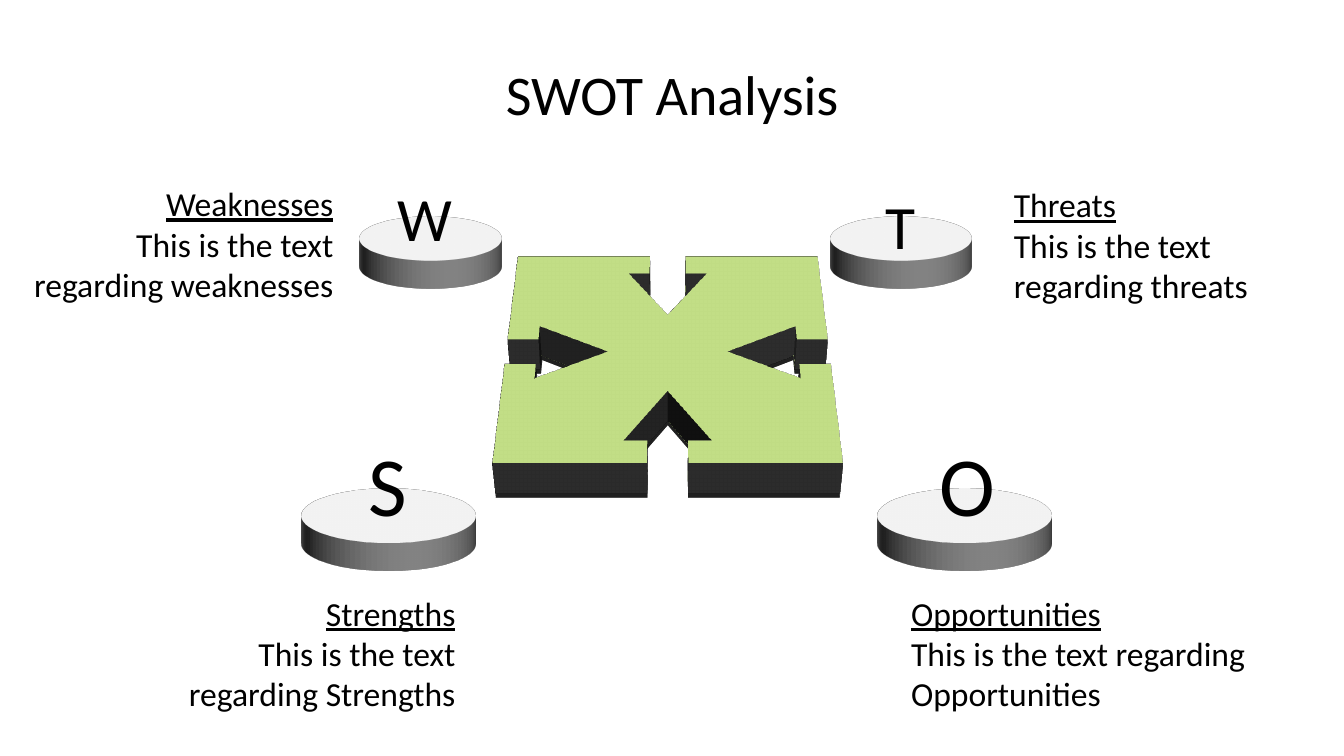
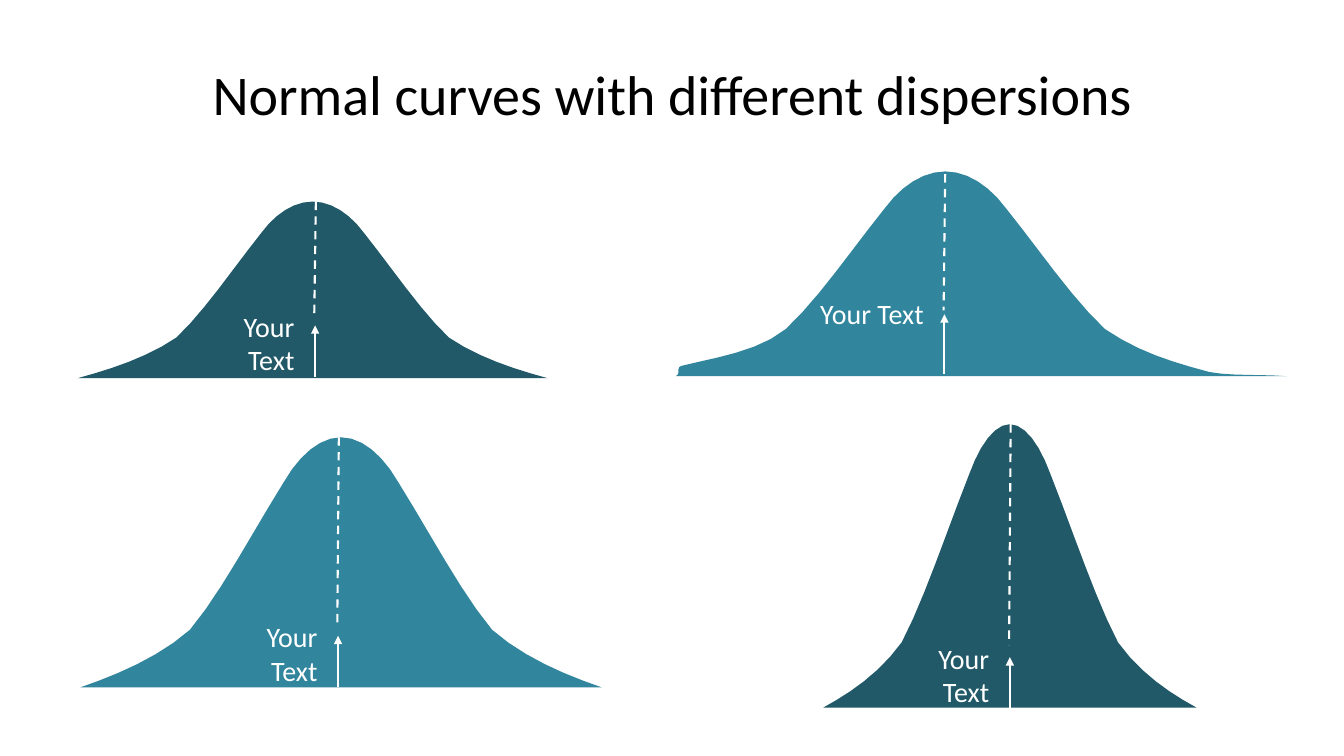
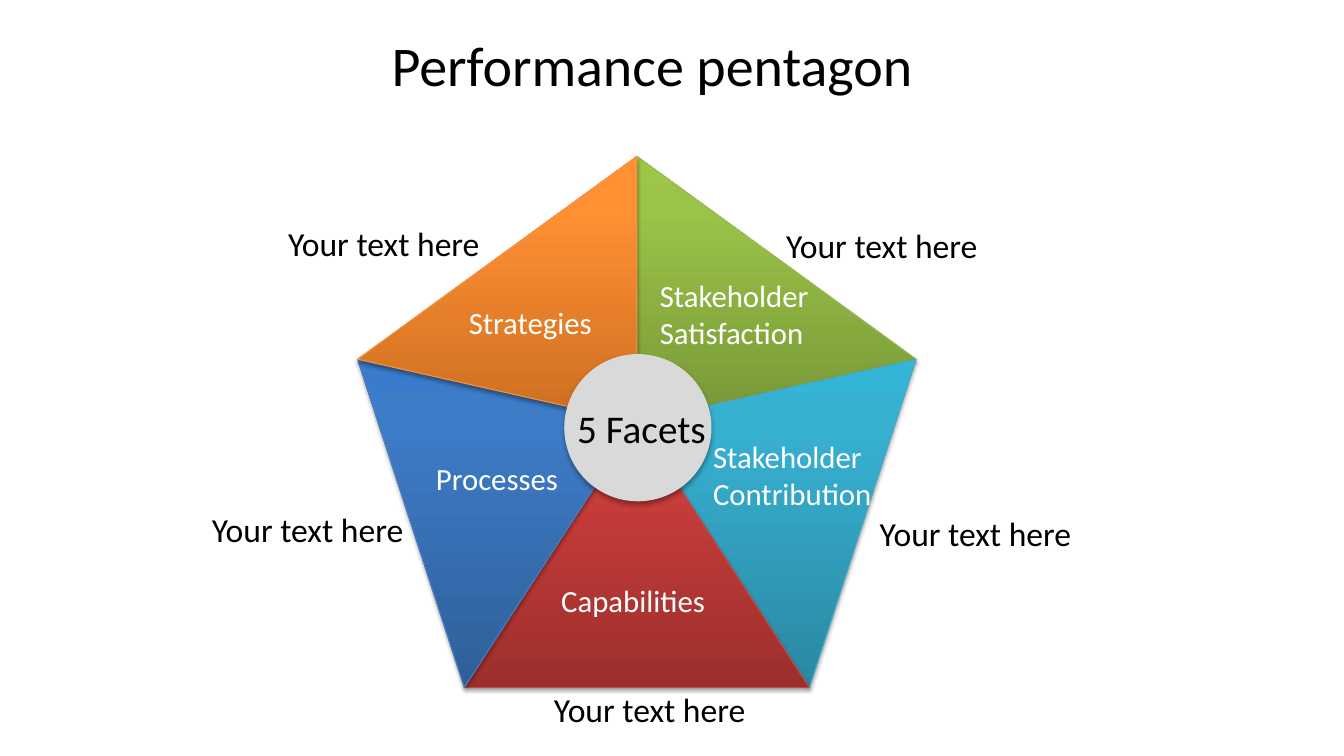
import math

import lxml.etree
import pptx
import pptx.dml.color
import pptx.enum.dml
import pptx.enum.shapes
import pptx.enum.text
import pptx.oxml.ns
import pptx.util

Cm = pptx.util.Cm
Pt = pptx.util.Pt
RGBColor = pptx.dml.color.RGBColor
ALIGN = pptx.enum.text.PP_ALIGN
ANCHOR = pptx.enum.text.MSO_ANCHOR
SHAPE = pptx.enum.shapes.MSO_SHAPE
qn = pptx.oxml.ns.qn

FONT = "Calibri"
BLACK = RGBColor(0x00, 0x00, 0x00)
WHITE = RGBColor(0xFF, 0xFF, 0xFF)
SILVER = RGBColor(0xBF, 0xBF, 0xBF)
PALE_GREY = RGBColor(0xD9, 0xD9, 0xD9)
WALL_GREY = RGBColor(0x59, 0x59, 0x59)
OLIVE = RGBColor(0x77, 0x93, 0x3C)
TEAL = RGBColor(0x31, 0x85, 0x9C)
DEEP_TEAL = RGBColor(0x21, 0x59, 0x68)

# Back side of the cross with its notch, from the centre, in cm.
CROSS_SIDE = [(0.48, -4.05), (0.48, -3.27), (1.03, -3.27), (0, -1.5),
              (-1.03, -3.27), (-0.48, -3.27), (-0.48, -4.05), (-4.05, -4.05)]

# Bezier segments (two controls, one end) as shares of the curve's box.
BELL = [
    ((0.27, 0.62), (0.33, 0.38), (0.39, 0.18)),
    ((0.42, 0.07), (0.46, 0), (0.5, 0)),
    ((0.54, 0), (0.58, 0.07), (0.61, 0.18)),
    ((0.67, 0.38), (0.73, 0.62), (0.79, 0.77)),
]
PLAIN_TAILS = (
    [((0.07, 0.95), (0.15, 0.88), (0.21, 0.77))],
    [((0.85, 0.88), (0.93, 0.95), (1, 1))],
)
LONG_TAILS = (
    [((0.02, 0.99), (0.01, 0.96), (0.02, 0.95)), ((0.08, 0.91), (0.16, 0.88), (0.21, 0.77))],
    [((0.85, 0.88), (0.91, 0.93), (0.98, 0.98)), ((1.02, 1), (1.07, 0.99), (1.12, 1))],
)


def add_title_slide(deck, title, left=1.7, top=0.76, width=30.48, height=3.18):
    slide = deck.slides.add_slide(deck.slide_layouts[5])
    heading = slide.shapes.title
    heading.left, heading.top, heading.width, heading.height = map(Cm, (left, top, width, height))
    heading.text_frame.text = title
    heading.text_frame.vertical_anchor = ANCHOR.MIDDLE
    style(heading.text_frame.paragraphs[0], 40, BLACK, ALIGN.CENTER)
    return slide.shapes


def style(paragraph, size, color, align):
    paragraph.alignment = align
    paragraph.font.name = FONT
    paragraph.font.size = Pt(size)
    paragraph.font.color.rgb = color


def add_text(shapes, lines, left, top, width, height, size, color=BLACK,
             align=ALIGN.LEFT, wrap=True):
    frame = shapes.add_textbox(Cm(left), Cm(top), Cm(width), Cm(height)).text_frame
    frame.word_wrap = wrap
    frame.text = "\n".join(lines)
    for paragraph in frame.paragraphs:
        style(paragraph, size, color, align)
    return frame


def paint(shape, fill=None, line=None, line_width=0.75):
    shape.shadow.inherit = False
    if fill is not None:
        shape.fill.solid()
        shape.fill.fore_color.rgb = fill
    if line is None:
        shape.line.fill.background()
    else:
        shape.line.color.rgb = line
        shape.line.width = Pt(line_width)


def paint_gradient(shape, stops, angle):
    """Fill with (percent, colour) stops."""
    shape.fill.gradient()
    shape.fill.gradient_angle = angle
    stop_list = shape._element.spPr.find(qn("a:gradFill")).find(qn("a:gsLst"))
    for old_stop in list(stop_list):
        stop_list.remove(old_stop)
    for percent, color in stops:
        stop = lxml.etree.SubElement(stop_list, qn("a:gs"), pos=str(percent * 1000))
        lxml.etree.SubElement(stop, qn("a:srgbClr"), val=color)


def add_shadow(shape, opacity, blur, distance):
    """Cast a black shadow downwards from a painted shape."""
    effects = shape._element.spPr.find(qn("a:effectLst"))
    shadow = lxml.etree.SubElement(
        effects, qn("a:outerShdw"), blurRad=str(Pt(blur)), dist=str(Pt(distance)),
        dir="5400000", rotWithShape="0")
    color = lxml.etree.SubElement(shadow, qn("a:srgbClr"), val=str(BLACK))
    lxml.etree.SubElement(color, qn("a:alpha"), val=str(opacity * 1000))


def extrude(shape, camera, tilt, depth, color, light, material):
    """Lay a painted shape back by `tilt` degrees and give it `depth` in cm."""
    properties = shape._element.spPr
    scene = lxml.etree.SubElement(properties, qn("a:scene3d"))
    view = lxml.etree.SubElement(scene, qn("a:camera"), prst=camera)
    lxml.etree.SubElement(view, qn("a:rot"), lat=str(round((360 - tilt) * 60000)),
                          lon="0", rev="0")
    lxml.etree.SubElement(scene, qn("a:lightRig"), rig=light, dir="t")
    solid = lxml.etree.SubElement(properties, qn("a:sp3d"), extrusionH=str(Cm(depth)),
                                  prstMaterial=material)
    side = lxml.etree.SubElement(solid, qn("a:extrusionClr"))
    lxml.etree.SubElement(side, qn("a:srgbClr"), val=str(color))


def add_polygon(shapes, points):
    """Closed outline through points in cm."""
    corners = [(Cm(x), Cm(y)) for x, y in points]
    builder = shapes.build_freeform(*corners[0])
    builder.add_line_segments(corners[1:], close=True)
    return builder.convert_to_shape()


def add_disc(shapes, left, top, size):
    disc = shapes.add_shape(SHAPE.OVAL, Cm(left), Cm(top), Cm(size), Cm(size))
    paint(disc, SILVER, PALE_GREY, 13.5)
    extrude(disc, "orthographicFront", 72, 0.73, WHITE, "threePt", "warmMatte")


def add_cross(shapes, center, middle):
    """Slab with a notch in each side, seen from the front and above."""
    side, outline = CROSS_SIDE, []
    for _ in range(4):
        outline += side
        side = [(y, -x) for x, y in side]
    cross = add_polygon(shapes, [(center + x, middle + y) for x, y in outline])
    paint(cross, OLIVE, BLACK, 0)
    add_shadow(cross, 40, 23, 3)
    extrude(cross, "perspectiveRelaxed", 50.4, 1, WALL_GREY, "threePt", "plastic")


def add_letter(shapes, letter, left, top, width, size):
    add_text(shapes, [letter], left, top, width, size * 0.05, size, wrap=False)


def add_note(shapes, heading, body, left, top, width, align):
    frame = add_text(shapes, [heading, body], left, top, width, 3.33, 24, align=align)
    frame.paragraphs[0].font.underline = True


def build_swot(deck):
    shapes = add_title_slide(deck, "SWOT Analysis")
    for left, top, size in ((20.93, 4.24, 3.56), (9.07, 4.24, 3.56),
                            (7.59, 10.8, 4.39), (22.12, 10.8, 4.39)):
        add_disc(shapes, left, top, size)
    add_cross(shapes, 16.83, 8.85)
    add_letter(shapes, "W", 9.78, 4.42, 1.7, 44)
    add_letter(shapes, "T", 22.07, 4.6, 1.14, 44)
    add_letter(shapes, "O", 23.42, 10.77, 1.7, 60)
    add_letter(shapes, "S", 9.04, 10.77, 1.45, 60)
    add_note(shapes, "Weaknesses", "This is the text regarding weaknesses",
             0.5, 4.49, 8.15, ALIGN.RIGHT)
    add_note(shapes, "Threats", "This is the text regarding threats",
             25.3, 4.52, 6.99, ALIGN.LEFT)
    add_note(shapes, "Strengths", "This is the text regarding Strengths",
             4.41, 14.81, 7.32, ALIGN.RIGHT)
    add_note(shapes, "Opportunities", "This is the text regarding Opportunities",
             22.71, 14.81, 9.55, ALIGN.LEFT)


def trace(start, segments, steps=6):
    """Points along joined bezier segments."""
    points = [start]
    for first, second, end in segments:
        origin = points[-1]
        for step in range(1, steps + 1):
            t = step / steps
            weights = ((1 - t) ** 3, 3 * t * (1 - t) ** 2, 3 * t * t * (1 - t), t ** 3)
            anchors = (origin, first, second, end)
            points.append(tuple(sum(w * p[i] for w, p in zip(weights, anchors)) for i in (0, 1)))
    return points


def add_white_line(shapes, x1, y1, x2, y2):
    line = shapes.add_connector(pptx.enum.shapes.MSO_CONNECTOR.STRAIGHT,
                                Cm(x1), Cm(y1), Cm(x2), Cm(y2))
    line.line.color.rgb = WHITE
    line.line.width = Pt(1.5)
    lxml.etree.SubElement(line._element.spPr, qn("a:effectLst"))
    return line


def add_bell(shapes, color, left, top, width, height, tails=PLAIN_TAILS, start=0):
    left_tail, right_tail = tails
    profile = trace((start, 1), left_tail + BELL + right_tail)
    curve = add_polygon(shapes, [(left + x * width, top + y * height) for x, y in profile])
    paint(curve, color)


def add_axis(shapes, axis, top, base, arrow=1.3, label_width=2.92, label_rise=1.83):
    """Dashed mean line over an arrow, with a label to its left."""
    mean = add_white_line(shapes, axis + 0.02, top, axis - 0.02, base - 1.6)
    mean.line.dash_style = pptx.enum.dml.MSO_LINE.DASH
    add_text(shapes, ["Your Text"], axis - 0.27 - label_width, base - label_rise,
             label_width, 1.96, 20, WHITE, ALIGN.RIGHT)
    pointer = add_white_line(shapes, axis, base, axis, base - arrow)
    lxml.etree.SubElement(pointer.line._get_or_add_ln(), qn("a:tailEnd"), type="triangle")


def build_curves(deck):
    shapes = add_title_slide(deck, "Normal curves with different dispersions")
    add_bell(shapes, TEAL, 2.03, 11.02, 13.13, 6.3)
    add_bell(shapes, DEEP_TEAL, 20.75, 10.69, 9.4, 7.14)
    add_bell(shapes, DEEP_TEAL, 1.96, 5.08, 11.84, 4.45)
    add_bell(shapes, TEAL, 16.89, 4.32, 13.87, 5.16, LONG_TAILS, 0.01)
    add_axis(shapes, 8.52, 11.02, 17.32)
    add_axis(shapes, 7.94, 5.08, 9.5)
    add_axis(shapes, 23.8, 4.39, 9.42, arrow=1.5, label_width=3.35, label_rise=2.08)
    add_axis(shapes, 25.45, 10.69, 17.86)


# Label lines, label offset, alignment, caption offset (from the hub, cm),
# gradient colours from bottom to top, outline colour.
FACETS = [
    (["Stakeholder", "Satisfaction"], (0.33, -3.79), ALIGN.LEFT, (3.51, -5.1),
     ("779737", "9BC348", "9DC746"), "98B955"),
    (["Stakeholder", "Contribution"], (1.67, 0.27), ALIGN.LEFT, (5.87, 2.17),
     ("2A88A2", "37B1D2", "34B4D6"), "46AAC5"),
    (["Capabilities"], (-2.66, 3.9), ALIGN.CENTER, (-2.34, 6.61),
     ("9C2F2D", "CB3E3A", "CE3B37"), "BF4C48"),
    (["Processes"], (-6.09, 0.83), ALIGN.CENTER, (-10.96, 2.07),
     ("2F5F99", "3D7CC7", "3A7CCB"), "4B7EBC"),
    (["Strategies"], (-5.25, -3.11), ALIGN.CENTER, (-9.04, -5.14),
     ("CC6E20", "FF9034", "FF9136"), "F69240"),
]


def add_pentagon(shapes, center, top, radius):
    corners = [(center + radius * math.sin(k * math.tau / 5),
                top + radius - radius * math.cos(k * math.tau / 5)) for k in range(5)]
    middle = (top + corners[2][1]) / 2
    for k, (lines, offset, align, _, colors, outline) in enumerate(FACETS):
        facet = add_polygon(shapes, [corners[k], corners[(k + 1) % 5], (center, middle)])
        paint(facet, line=RGBColor.from_string(outline))
        paint_gradient(facet, zip((0, 80, 100), colors), 90)
        add_shadow(facet, 35, 3.1, 1.8)
        add_text(shapes, lines, center + offset[0], middle + offset[1],
                 5.13, 0.25 + 0.94 * len(lines), 22, WHITE, align)
    for _, _, _, offset, _, _ in FACETS:
        add_text(shapes, ["Your text here"], center + offset[0], middle + offset[1],
                 5.38, 1.27, 24, wrap=False)
    add_hub(shapes, center - 1.83, middle - 1.71, 3.71)


def add_hub(shapes, left, top, size):
    hub = shapes.add_shape(SHAPE.OVAL, Cm(left), Cm(top), Cm(size), Cm(size))
    paint(hub, PALE_GREY)
    add_shadow(hub, 32, 3.5, 2.2)
    add_text(shapes, ["5 Facets"], left, top + 1.14, 3.89, 1.45, 28, align=ALIGN.CENTER)


def build_pentagon(deck):
    shapes = add_title_slide(deck, "Performance pentagon", 5, 0.51, 22.86, 2.21)
    add_pentagon(shapes, center=16.05, top=3.94, radius=7.4)


def main():
    deck = pptx.Presentation()
    deck.slide_width, deck.slide_height = Cm(33.87), Cm(19.05)
    build_swot(deck)
    build_curves(deck)
    build_pentagon(deck)
    deck.save("out.pptx")


if __name__ == "__main__":
    main()
